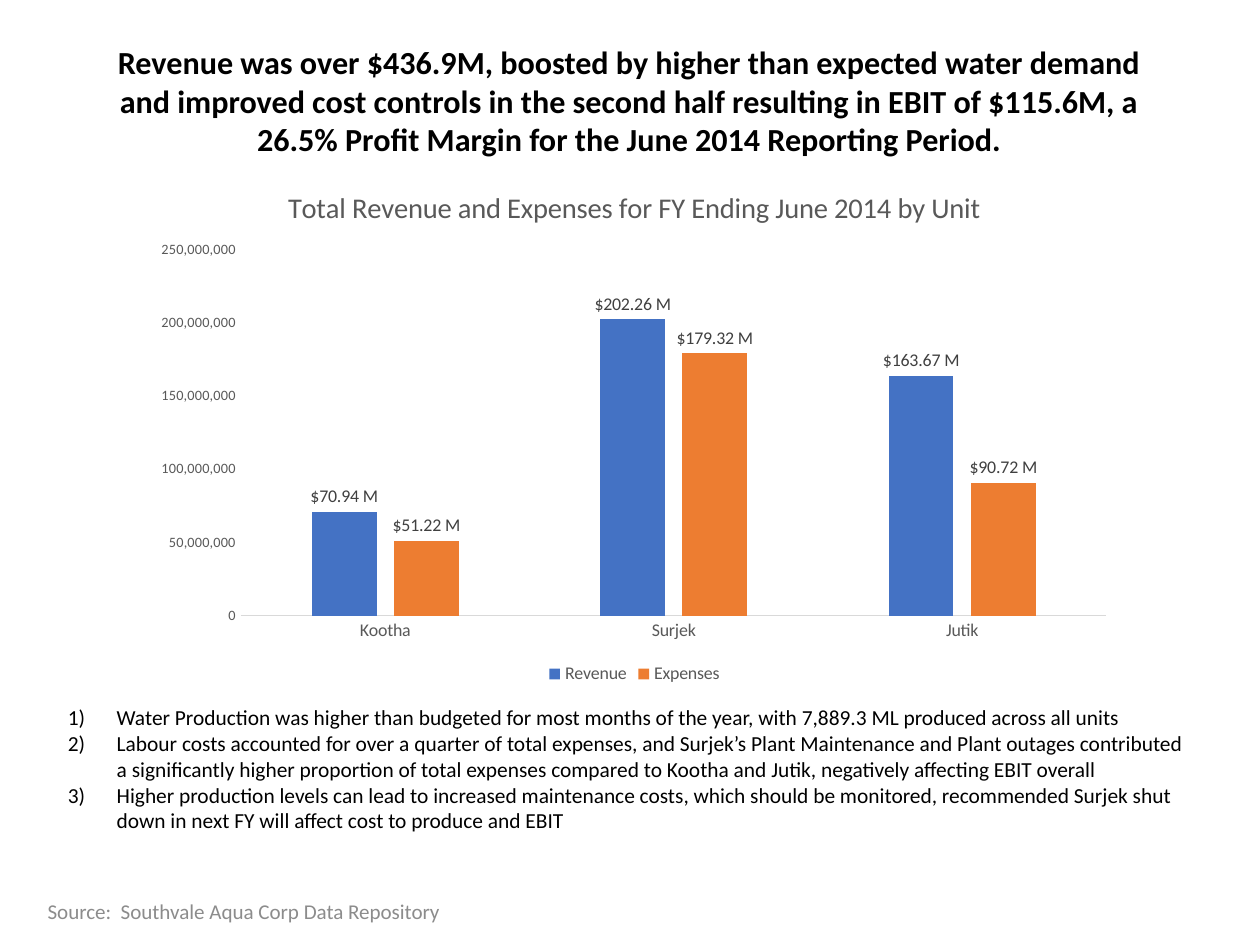
from dataclasses import dataclass

from lxml.etree import SubElement
from pptx import Presentation
from pptx.chart.data import CategoryChartData
from pptx.dml.color import RGBColor
from pptx.enum.chart import XL_CHART_TYPE as ChartType
from pptx.enum.chart import XL_LABEL_POSITION as LabelPos
from pptx.enum.chart import XL_LEGEND_POSITION as LegendPos
from pptx.enum.chart import XL_TICK_MARK as Tick
from pptx.enum.text import MSO_ANCHOR as Anchor
from pptx.enum.text import MSO_AUTO_SIZE as AutoSize
from pptx.enum.text import PP_ALIGN as Align
from pptx.oxml import parse_xml
from pptx.oxml.ns import nsdecls, qn
from pptx.util import Inches, Pt

FONT = "Calibri"
COLORS = {
    "text": "000000", "source": "8C8C8C", "axis": "595959", "label": "404040",
    "line": "D9D9D9", "revenue": "4472C4", "expenses": "ED7D31",
}
COLS, ROWS = 196, 147


@dataclass
class Box:
    col: float
    row: float
    cols: float
    rows: float


@dataclass
class Series:
    name: str
    values: tuple
    color: str


TITLE_BOX = Box(15.2, 5.6, 165.4, 20.2)
CHART_BOX = Box(22.2, 25.8, 153, 81.4)
NOTES_BOX = Box(8.6, 108.6, 178.8, 22.2)
SOURCE_BOX = Box(4.8, 137.8, 66.2, 7.8)
PLOT_SHARES = {"x": 0.1, "y": 0.16, "w": 0.88, "h": 0.7}

TITLE = ("Revenue was over $436.9M, boosted by higher than expected water demand "
         "and improved cost controls in the second half resulting in EBIT of $115.6M, "
         "a 26.5% Profit Margin for the June 2014 Reporting Period.")
CHART_TITLE = "Total Revenue and Expenses for FY Ending June 2014 by Unit"
UNITS = ("Kootha", "Surjek", "Jutik")
SERIES = (
    Series("Revenue", (70_940_000, 202_260_000, 163_670_000), "revenue"),
    Series("Expenses", (51_220_000, 179_320_000, 90_720_000), "expenses"),
)
NOTES = (
    "Water Production was higher than budgeted for most months of the year, "
    "with 7,889.3 ML produced across all units",
    "Labour costs accounted for over a quarter of total expenses, and Surjek’s Plant "
    "Maintenance and Plant outages contributed a significantly higher proportion of "
    "total expenses compared to Kootha and Jutik, negatively affecting EBIT overall",
    "Higher production levels can lead to increased maintenance costs, which should be "
    "monitored, recommended Surjek shut down in next FY will affect cost to produce and EBIT",
)
SOURCE = "Source:  Southvale Aqua Corp Data Repository"

prs = Presentation()
prs.slide_width, prs.slide_height = Inches(9.8), Inches(7.35)


def place(box: Box) -> tuple:
    cell_w, cell_h = prs.slide_width / COLS, prs.slide_height / ROWS
    return (int(box.col * cell_w), int(box.row * cell_h),
            int(box.cols * cell_w), int(box.rows * cell_h))


def style(font, size: float, color: str, bold: bool = False) -> None:
    font.name, font.size, font.bold = FONT, Pt(size), bold
    font.color.rgb = RGBColor.from_string(COLORS[color])


def write(tf, lines: tuple, size: float, color: str, align, anchor,
          bold: bool = False, wrap: bool = True) -> None:
    tf.text = "\n".join(lines)
    tf.word_wrap, tf.auto_size, tf.vertical_anchor = wrap, AutoSize.NONE, anchor
    for p in tf.paragraphs:
        p.alignment = align
        for r in p.runs:
            style(r.font, size, color, bold)


def number(tf, indent: int) -> None:
    for p in tf.paragraphs:
        pPr = p._p.get_or_add_pPr()
        pPr.set("marL", str(indent))
        pPr.set("indent", str(-indent))
        SubElement(pPr, qn("a:buFont"), typeface="+mj-lt")
        SubElement(pPr, qn("a:buAutoNum"), type="arabicParenR")


def fix_plot_area(chart) -> None:
    area = chart._chartSpace.chart.plotArea
    for old in area.findall(qn("c:layout")):
        area.remove(old)
    modes = '<c:xMode val="edge"/><c:yMode val="edge"/>'
    shares = "".join(f'<c:{k} val="{v}"/>' for k, v in PLOT_SHARES.items())
    area.insert(0, parse_xml(
        f'<c:layout {nsdecls("c")}><c:manualLayout><c:layoutTarget val="inner"/>'
        f'{modes}{shares}</c:manualLayout></c:layout>'))


def format_axes(chart) -> None:
    for axis, size in ((chart.category_axis, 10), (chart.value_axis, 8)):
        axis.major_tick_mark = axis.minor_tick_mark = Tick.NONE
        axis.has_major_gridlines = False
        style(axis.tick_labels.font, size, "axis")
    line = chart.category_axis.format.line
    line.color.rgb, line.width = RGBColor.from_string(COLORS["line"]), Pt(0.75)
    axis = chart.value_axis
    axis.format.line.fill.background()
    axis.minimum_scale, axis.maximum_scale, axis.major_unit = 0, 250_000_000, 50_000_000
    axis.tick_labels.number_format = "#,##0"
    axis.tick_labels.number_format_is_linked = False


def format_series(plot) -> None:
    plot.gap_width, plot.overlap, plot.vary_by_categories = 219, -27, False
    for bars, item in zip(plot.series, SERIES):
        bars.format.fill.solid()
        bars.format.fill.fore_color.rgb = RGBColor.from_string(COLORS[item.color])
        labels = bars.data_labels
        labels.show_value, labels.position = True, LabelPos.OUTSIDE_END
        labels.number_format, labels.number_format_is_linked = '"$"#.##,," M"', False
        style(labels.font, 10, "label")


def add_unit_chart(s, box: Box) -> None:
    data = CategoryChartData()
    data.categories = UNITS
    for item in SERIES:
        data.add_series(item.name, item.values)
    chart = s.shapes.add_chart(ChartType.COLUMN_CLUSTERED, *place(box), data).chart
    style(chart.font, 10, "text")
    chart.has_title = True
    chart.chart_title.text_frame.text = CHART_TITLE
    style(chart.chart_title.text_frame.paragraphs[0].runs[0].font, 16, "axis")
    chart.chart_title.include_in_layout = False
    chart.has_legend = True
    chart.legend.position, chart.legend.include_in_layout = LegendPos.BOTTOM, False
    style(chart.legend.font, 10, "axis")
    format_axes(chart)
    format_series(chart.plots[0])
    fix_plot_area(chart)


s = prs.slides.add_slide(prs.slide_layouts[5])
title = s.shapes.title
title.left, title.top, title.width, title.height = place(TITLE_BOX)
write(title.text_frame, (TITLE,), 18, "text", Align.CENTER, Anchor.TOP, bold=True)

add_unit_chart(s, CHART_BOX)

notes = s.shapes.add_textbox(*place(NOTES_BOX)).text_frame
write(notes, NOTES, 12, "text", Align.LEFT, Anchor.TOP)
number(notes, Inches(0.38))

source = s.shapes.add_textbox(*place(SOURCE_BOX)).text_frame
write(source, (SOURCE,), 11.8, "source", Align.CENTER, Anchor.MIDDLE, wrap=False)

prs.save("out.pptx")
